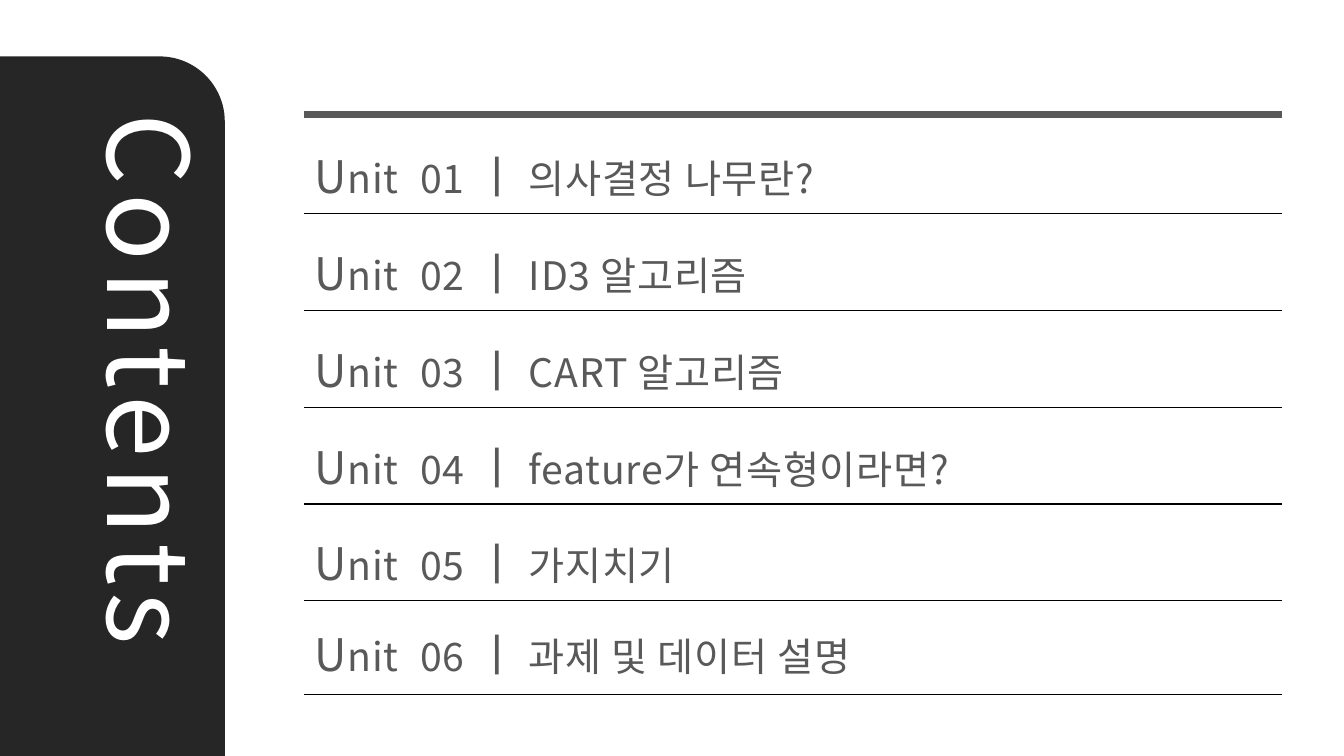
from dataclasses import dataclass

from lxml import etree
from pptx import Presentation
from pptx.dml.color import RGBColor
from pptx.enum.shapes import MSO_CONNECTOR, MSO_SHAPE
from pptx.enum.text import MSO_ANCHOR, MSO_AUTO_SIZE, PP_ALIGN
from pptx.oxml.ns import qn
from pptx.util import Emu, Pt

LINE = MSO_CONNECTOR.STRAIGHT
CORNER = MSO_SHAPE.ROUND_1_RECTANGLE
TOP, MIDDLE = MSO_ANCHOR.TOP, MSO_ANCHOR.MIDDLE
GROW, FIXED = MSO_AUTO_SIZE.SHAPE_TO_FIT_TEXT, MSO_AUTO_SIZE.NONE
LEFT = PP_ALIGN.LEFT

PX = 9144
FONT = "Noto Sans CJK KR"
DARK, GRAY, BLACK, WHITE = "262626", "595959", "000000", "FFFFFF"
EDGE, END = 302, 1272
FIRST, STEP, DROP = 136, 96, 76


@dataclass
class Unit:
    name: str
    lift: int = 0


UNITS = [
    Unit("의사결정 나무란?"),
    Unit("ID3 알고리즘"),
    Unit("CART 알고리즘"),
    Unit("feature가 연속형이라면?"),
    Unit("가지치기"),
    Unit("과제 및 데이터 설명", lift=6),
]


def px(size: int) -> Emu:
    return Emu(size * PX)


def color(code: str) -> RGBColor:
    return RGBColor.from_string(code)


def place(shape, left: int, top: int, width: int, height: int) -> None:
    shape.left, shape.top = px(left), px(top)
    shape.width, shape.height = px(width), px(height)


def write(para, text: str, *, size: int, code: str, gap: int) -> None:
    run = para.add_run()
    run.text = text
    run.font.size = Pt(size)
    run.font.name = FONT
    run.font.color.rgb = color(code)
    props = run.font._element
    props.set("spc", str(gap))
    etree.SubElement(props, qn("a:ea")).set("typeface", FONT)


def rule(slide, top: int, code: str, width: int) -> None:
    line = slide.shapes.add_connector(LINE, px(EDGE), px(top), px(END), px(top))
    line.line.color.rgb = color(code)
    line.line.width = Pt(width)
    etree.SubElement(line._element.spPr, qn("a:effectLst"))


def panel(slide) -> None:
    title = slide.shapes.title
    place(title, -198, 379, 697, 145)
    title.rotation = 90
    frame = title.text_frame
    frame.word_wrap = True
    frame.auto_size = GROW
    frame.vertical_anchor = TOP
    para = frame.paragraphs[0]
    para.alignment = LEFT
    write(para, "Contents", size=80, code=WHITE, gap=600)

    bar = slide.shapes.add_shape(CORNER, 0, px(56), px(223), px(694))
    bar.adjustments[0] = 0.29
    bar.shadow.inherit = False
    bar.fill.solid()
    bar.fill.fore_color.rgb = color(DARK)
    bar.line.fill.background()
    title._element.addprevious(bar._element)


def entry(slide, index: int, unit: Unit) -> None:
    top = FIRST + index * STEP
    box = slide.shapes.add_textbox(px(EDGE), px(top - unit.lift), px(943), px(77))
    frame = box.text_frame
    frame.word_wrap = True
    frame.auto_size = FIXED
    frame.vertical_anchor = MIDDLE
    parts = [
        ("U", 32), ("nit", 28), ("  ", 32),
        (f"{index + 1:02}", 28), (" ㅣ ", 32), (unit.name, 28),
    ]
    for text, size in parts:
        write(frame.paragraphs[0], text, size=size, code=GRAY, gap=50)
    rule(slide, top + DROP - unit.lift // 2, BLACK, 1)


def main() -> None:
    deck = Presentation()
    deck.slide_width, deck.slide_height = px(1333), px(750)
    slide = deck.slides.add_slide(deck.slide_layouts[5])
    panel(slide)
    rule(slide, 114, GRAY, 5)
    for index, unit in enumerate(UNITS):
        entry(slide, index, unit)
    deck.save("out.pptx")


if __name__ == "__main__":
    main()
